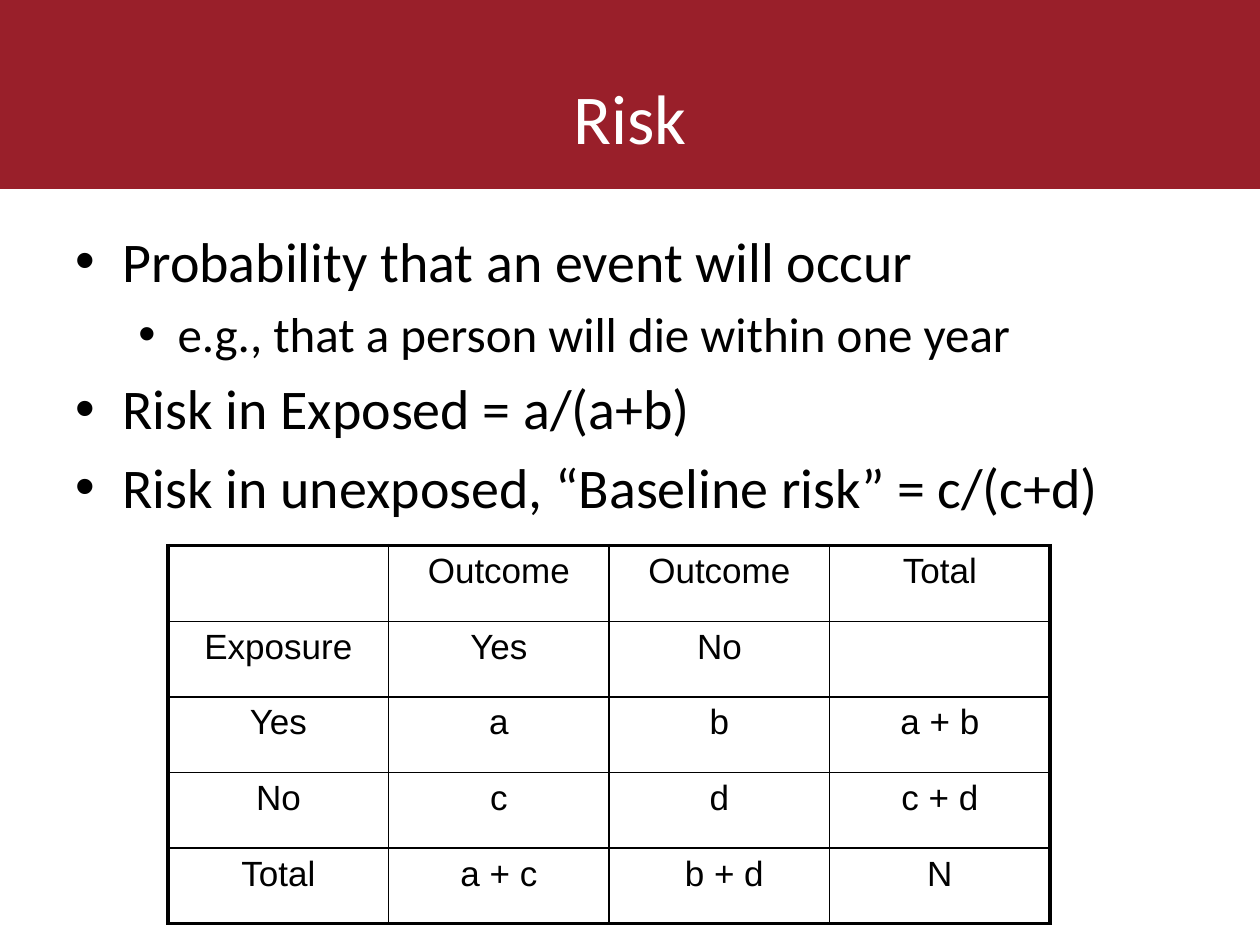
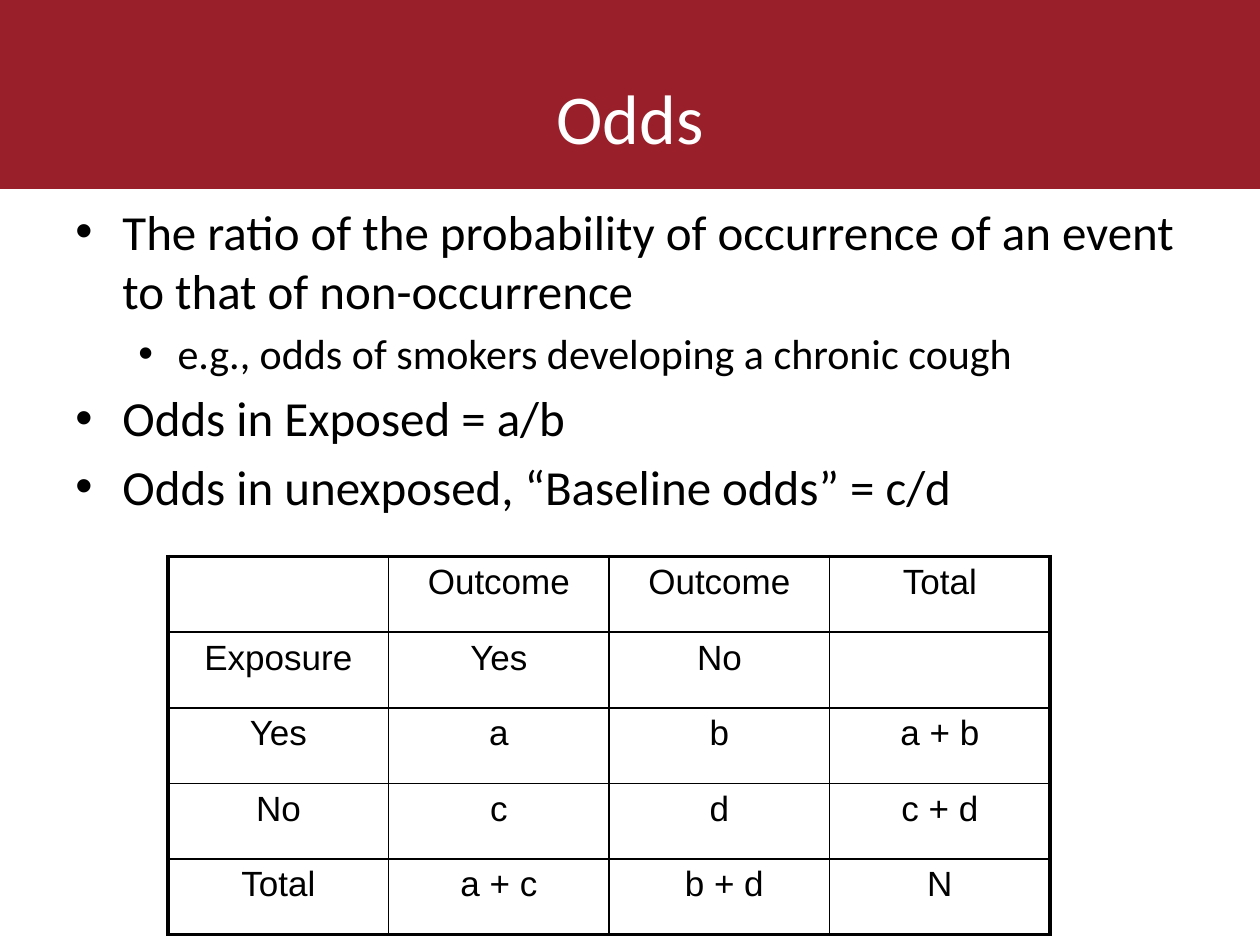
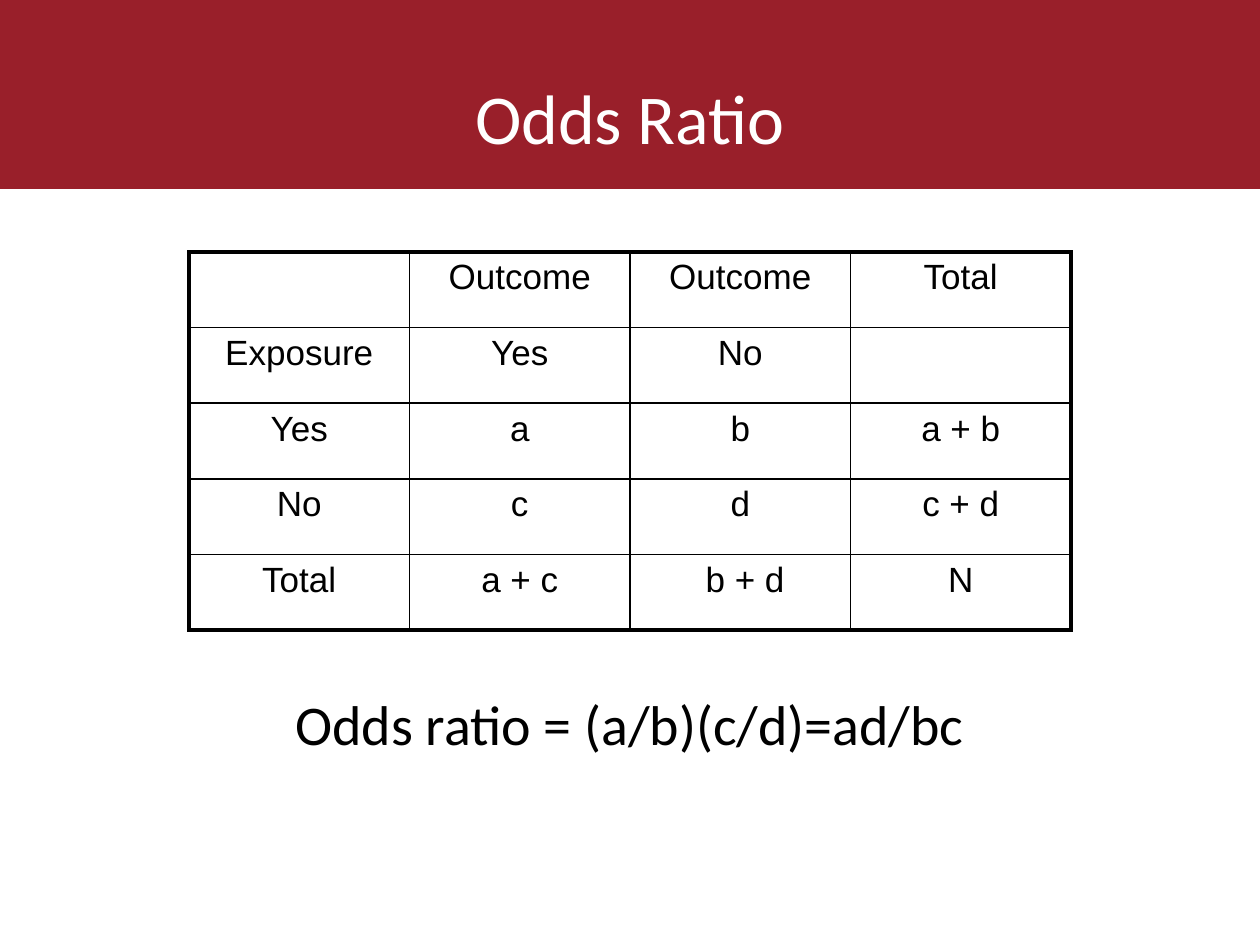
from lxml.etree import SubElement
from pptx import Presentation
from pptx.dml.color import RGBColor
from pptx.enum.shapes import MSO_SHAPE as Shape
from pptx.enum.text import MSO_ANCHOR as Anchor, PP_ALIGN as Align
from pptx.oxml.ns import qn
from pptx.util import Cm, Pt

COLORS = {"band": "991F2A", "title": "FFFFFF", "ink": "000000"}
BODY_FONT, TABLE_FONT = "Calibri", "Arial"
SLIDE_WIDTH, SLIDE_HEIGHT = Cm(25.4), Cm(19.05)
BAND_HEIGHT = Cm(3.81)
TITLE_BOX = (Cm(1.27), Cm(0.76), Cm(22.86), Cm(3.18))
TABLE_WIDTH, TABLE_HEIGHT = Cm(17.78), Cm(7.62)
THICK, THIN = Pt(2.25), Pt(1)

# Left margin and hanging indent of each bullet level
BULLET_INDENTS = [(Cm(0.95), Cm(-0.95)), (Cm(2.06), Cm(-0.79))]

CONTINGENCY = [
    ["", "Outcome", "Outcome", "Total"],
    ["Exposure", "Yes", "No", ""],
    ["Yes", "a", "b", "a + b"],
    ["No", "c", "d", "c + d"],
    ["Total", "a + c", " b + d", "N"],
]


def rgb(name):
    return RGBColor.from_string(COLORS[name])


def write(paragraph, text, size, font=BODY_FONT, color="ink"):
    run = paragraph.add_run()
    run.text = text
    run.font.name = font
    run.font.size = Pt(size)
    run.font.color.rgb = rgb(color)


def add_titled_slide(prs, heading):
    slide = prs.slides.add_slide(prs.slide_layouts[5])
    title = slide.shapes.title
    title.left, title.top, title.width, title.height = TITLE_BOX
    title.text_frame.vertical_anchor = Anchor.MIDDLE
    paragraph = title.text_frame.paragraphs[0]
    paragraph.alignment = Align.CENTER
    write(paragraph, heading, 40, color="title")

    # Band behind the title
    band = slide.shapes.add_shape(Shape.RECTANGLE, 0, 0, SLIDE_WIDTH, BAND_HEIGHT)
    band.shadow.inherit = False
    band.fill.solid()
    band.fill.fore_color.rgb = rgb("band")
    band.line.fill.background()
    title.element.addprevious(band.element)
    return slide


def add_body(slide, box):
    frame = slide.shapes.add_textbox(*box).text_frame
    frame.word_wrap = True
    return frame


def add_bullets(slide, box, items, top_size):
    """Items are (level, text); each level down is 4 pt smaller."""
    frame = add_body(slide, box)
    for index, (level, text) in enumerate(items):
        paragraph = frame.add_paragraph() if index else frame.paragraphs[0]
        size = top_size - 4 * level
        paragraph.level = level
        paragraph.space_before = Pt(0.2 * size)
        props = paragraph._p.get_or_add_pPr()
        margin, hanging = BULLET_INDENTS[level]
        props.set("marL", str(margin))
        props.set("indent", str(hanging))
        SubElement(props, qn("a:buFont"), typeface="Arial")
        SubElement(props, qn("a:buChar"), char="•")
        write(paragraph, text, size)


def add_formula(slide, box, formula):
    paragraph = add_body(slide, box).paragraphs[0]
    paragraph.alignment = Align.CENTER
    paragraph.space_before = Pt(6.4)
    write(paragraph, formula, 32)


def set_borders(cell, on_edge):
    """on_edge tells for each side whether it is on the table's outline."""
    props = cell._tc.get_or_add_tcPr()
    for side, outer in on_edge.items():
        line = SubElement(props, qn(f"a:ln{side}"), w=str(THICK if outer else THIN))
        fill = SubElement(line, qn("a:solidFill"))
        SubElement(fill, qn("a:srgbClr"), val=COLORS["ink"])


def add_contingency_table(slide, left, top):
    row_count, column_count = len(CONTINGENCY), len(CONTINGENCY[0])
    table = slide.shapes.add_table(row_count, column_count, left, top,
                                   TABLE_WIDTH, TABLE_HEIGHT).table
    table.first_row = table.horz_banding = False
    for r, labels in enumerate(CONTINGENCY):
        for c, label in enumerate(labels):
            cell = table.cell(r, c)
            set_borders(cell, {"L": c == 0, "R": c == column_count - 1,
                               "T": r == 0, "B": r == row_count - 1})
            cell.fill.background()
            if label:
                paragraph = cell.text_frame.paragraphs[0]
                paragraph.alignment = Align.CENTER
                paragraph.space_before = Pt(4)
                write(paragraph, label, 20, TABLE_FONT)


def build_measure_slide(prs, heading, box, items, top_size, table_top):
    slide = add_titled_slide(prs, heading)
    add_bullets(slide, box, items, top_size)
    add_contingency_table(slide, Cm(3.39), table_top)


def build_ratio_slide(prs):
    slide = add_titled_slide(prs, "Odds Ratio")
    add_contingency_table(slide, Cm(3.81), Cm(5.08))
    add_formula(slide, (Cm(1.27), Cm(13.77), Cm(22.86), Cm(3.25)),
                "Odds ratio = (a/b)(c/d)=ad/bc")


def main():
    prs = Presentation()
    prs.slide_width, prs.slide_height = SLIDE_WIDTH, SLIDE_HEIGHT
    build_measure_slide(
        prs, "Risk", (Cm(1.27), Cm(4.45), Cm(22.86), Cm(12.57)),
        [(0, "Probability that an event will occur"),
         (1, "e.g., that a person will die within one year"),
         (0, "Risk in Exposed = a/(a+b)"),
         (0, "Risk in unexposed, “Baseline risk” = c/(c+d)")],
        32, Cm(11))
    build_measure_slide(
        prs, "Odds", (Cm(1.27), Cm(3.94), Cm(23.7), Cm(12.57)),
        [(0, "The ratio of the probability of occurrence of an event "
             "to that of non-occurrence"),
         (1, "e.g., odds of smokers developing a chronic cough"),
         (0, "Odds in Exposed = a/b"),
         (0, "Odds in unexposed, “Baseline odds” = c/d")],
        28, Cm(11.22))
    build_ratio_slide(prs)
    prs.save("out.pptx")


if __name__ == "__main__":
    main()
